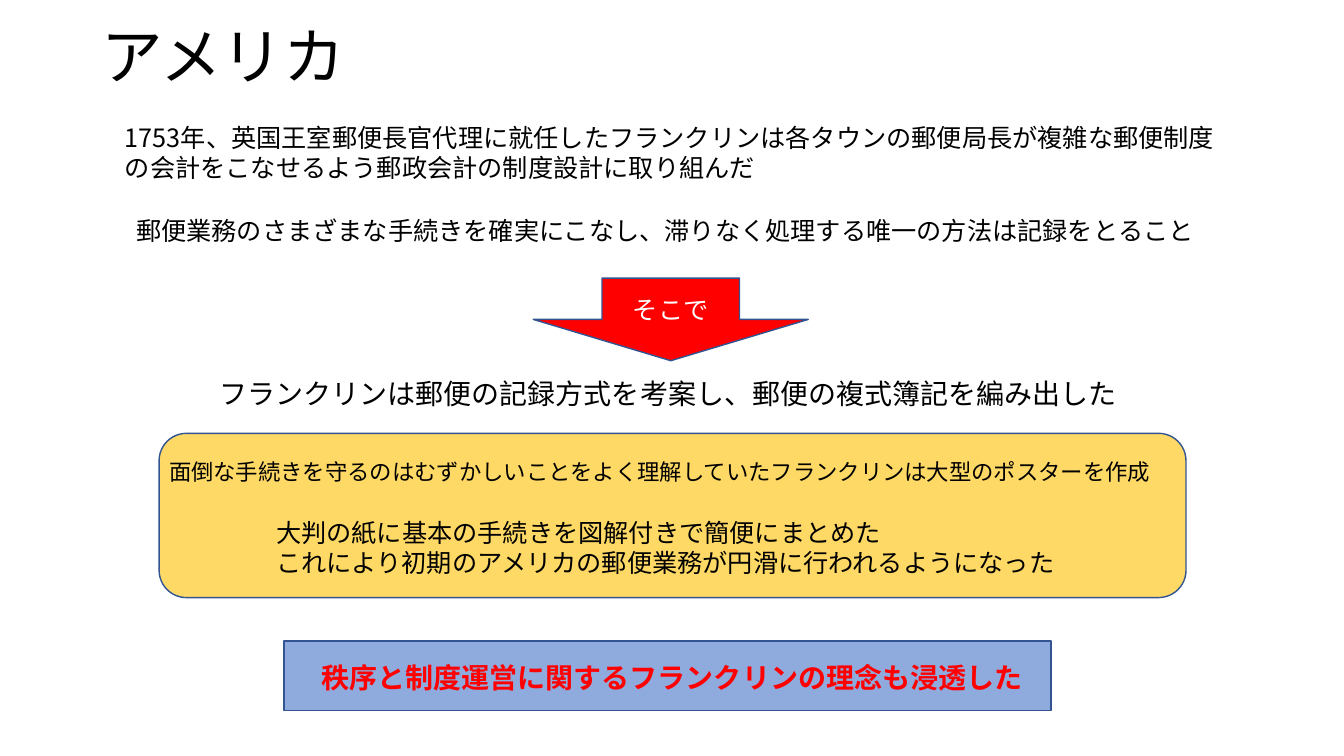
from lxml import etree
from pptx import Presentation
from pptx import util as u
from pptx.dml.color import RGBColor
from pptx.enum import shapes, text
from pptx.oxml.ns import qn


def color(value):
    return RGBColor.from_string(value)


class SlideBuilder:
    font_name = "Noto Sans CJK JP"
    outline = "325491"
    line_factor = 1.19

    def __init__(self, slide):
        self.slide = slide

    def set_text(self, shape, lines, ink="000000", spacing=None, align=None, **font_format):
        """Fill a shape with one paragraph per line."""
        frame = shape.text_frame
        frame.word_wrap = True
        frame.text = "\n".join(lines)
        for paragraph in frame.paragraphs:
            paragraph.alignment = align
            paragraph.line_spacing = spacing
            run = paragraph.runs[0]
            for name, value in {"name": self.font_name, **font_format}.items():
                setattr(run.font, name, value)
            run.font.color.rgb = color(ink)
            east_asian = etree.SubElement(run.font._element, qn("a:ea"))
            east_asian.set("typeface", self.font_name)

    def panel(self, kind, box, fill):
        shape = self.slide.shapes.add_shape(kind, *map(u.Cm, box))
        shape.shadow.inherit = False
        shape.fill.solid()
        shape.fill.fore_color.rgb = color(fill)
        shape.line.color.rgb = color(self.outline)
        shape.line.width = u.Pt(1)
        return shape

    def title(self, box, line):
        shape = self.slide.shapes.add_textbox(*map(u.Cm, box))
        shape.text_frame.vertical_anchor = text.MSO_ANCHOR.MIDDLE
        self.set_text(shape, [line], spacing=0.9, size=u.Pt(44))

    def body(self, box, size, *lines, **text_format):
        shape = self.slide.shapes.add_textbox(*map(u.Cm, box))
        shape.text_frame.margin_top = u.Cm(0.2)
        self.set_text(shape, lines, spacing=u.Pt(size * self.line_factor),
                      size=u.Pt(size), **text_format)

    def arrow(self, box, line):
        shape = self.panel(shapes.MSO_SHAPE.DOWN_ARROW, box, "FF0000")
        shape.text_frame.vertical_anchor = text.MSO_ANCHOR.MIDDLE
        self.set_text(shape, [line], ink="FFFFFF", align=text.PP_ALIGN.CENTER, size=u.Pt(18))


def main():
    presentation = Presentation()
    presentation.slide_width = u.Cm(33.87)
    presentation.slide_height = u.Cm(19.05)
    builder = SlideBuilder(presentation.slides.add_slide(presentation.slide_layouts[6]))

    # Background panels
    builder.panel(shapes.MSO_SHAPE.RECTANGLE, (7.16, 16.15, 19.33, 1.75), "8FAADC")
    builder.panel(shapes.MSO_SHAPE.ROUNDED_RECTANGLE, (4.01, 10.92, 25.88, 4.14), "FFD966")

    # Title and situation
    builder.title((2.31, 0.08, 29.18, 2.84), "アメリカ")
    builder.body((2.9, 2.9, 27.99, 1.8), 18,
                 "1753年、英国王室郵便長官代理に就任したフランクリンは各タウンの郵便局長が"
                 "複雑な郵便制度の会計をこなせるよう郵政会計の制度設計に取り組んだ")
    builder.body((3.18, 5.23, 27.43, 1.02), 18,
                 "郵便業務のさまざまな手続きを確実にこなし、滞りなく処理する唯一の方法は記録をとること")

    # Resulting invention
    builder.body((5.28, 9.3, 23.22, 1.12), 20,
                 "フランクリンは郵便の記録方式を考案し、郵便の複式簿記を編み出した")
    builder.arrow((13.44, 7.01, 6.93, 2.08), "そこで")

    # Poster
    builder.body((4.01, 11.35, 25.76, 0.94), 16,
                 "面倒な手続きを守るのはむずかしいことをよく理解していたフランクリンは大型のポスターを作成")
    builder.body((6.71, 12.85, 20.47, 1.8), 18,
                 "大判の紙に基本の手続きを図解付きで簡便にまとめた",
                 "これにより初期のアメリカの郵便業務が円滑に行われるようになった")

    # Conclusion
    builder.body((7.85, 16.46, 18.19, 1.12), 20,
                 "秩序と制度運営に関するフランクリンの理念も浸透した", ink="FF0000", bold=True)

    presentation.save("out.pptx")


if __name__ == "__main__":
    main()
